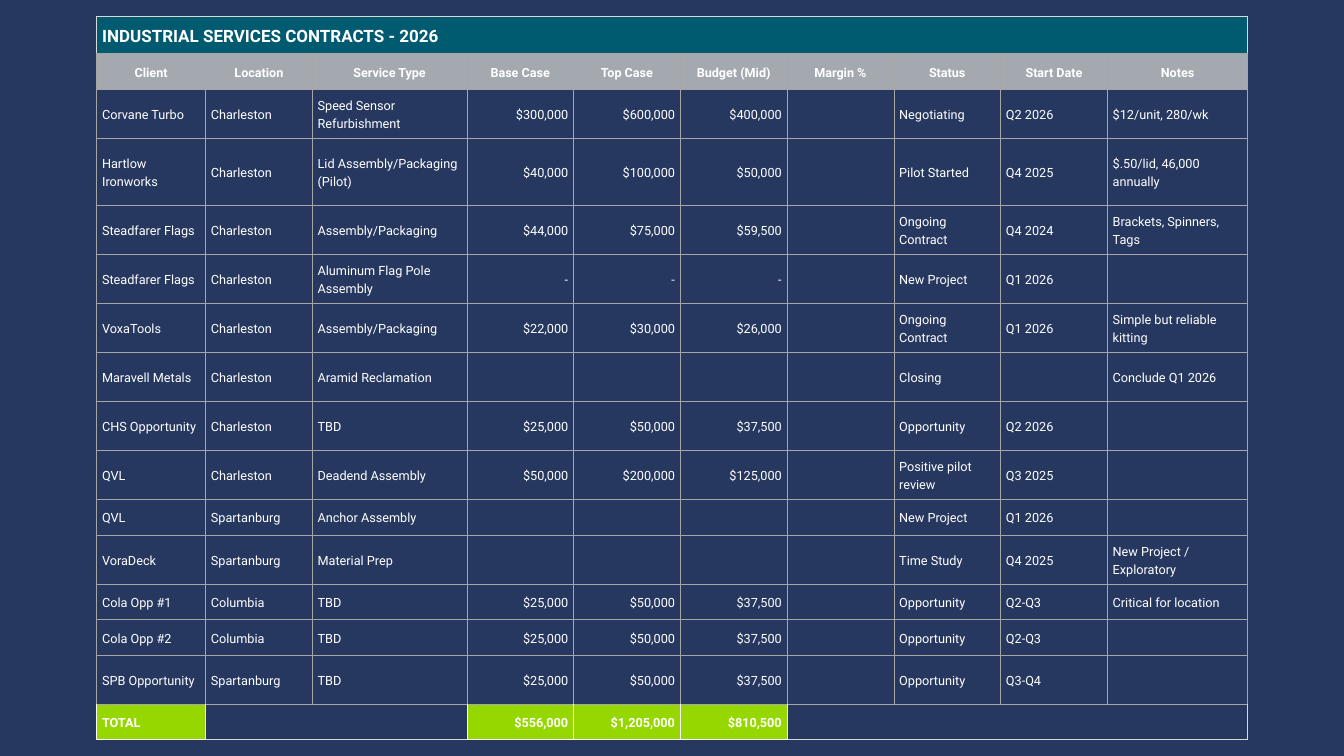
from lxml import etree
from pptx import Presentation
from pptx.dml.color import RGBColor
from pptx.enum.text import MSO_ANCHOR, PP_ALIGN
from pptx.oxml.ns import qn
from pptx.util import Pt

NAVY, TEAL, SLATE, LIME, WHITE = "26385F", "005A70", "A3A9AF", "97D700", "FFFFFF"
GRID, EDGE = "A6A6A6", "D9D9D9"

ROWS = [
    ["INDUSTRIAL SERVICES CONTRACTS - 2026"] + [""] * 9,
    ["Client", "Location", "Service Type", "Base Case", "Top Case", "Budget (Mid)",
     "Margin %", "Status", "Start Date", "Notes"],
    ["Corvane Turbo", "Charleston", "Speed Sensor Refurbishment", "$300,000", "$600,000",
     "$400,000", "", "Negotiating", "Q2 2026", "$12/unit, 280/wk"],
    ["Hartlow Ironworks", "Charleston", "Lid Assembly/Packaging (Pilot)", "$40,000", "$100,000",
     "$50,000", "", "Pilot Started", "Q4 2025", "$.50/lid, 46,000 annually"],
    ["Steadfarer Flags", "Charleston", "Assembly/Packaging", "$44,000", "$75,000",
     "$59,500", "", "Ongoing Contract", "Q4 2024", "Brackets, Spinners, Tags"],
    ["Steadfarer Flags", "Charleston", "Aluminum Flag Pole Assembly", "-", "-",
     "-", "", "New Project", "Q1 2026", ""],
    ["VoxaTools", "Charleston", "Assembly/Packaging", "$22,000", "$30,000",
     "$26,000", "", "Ongoing Contract", "Q1 2026", "Simple but reliable kitting"],
    ["Maravell Metals", "Charleston", "Aramid Reclamation", "", "",
     "", "", "Closing", "", "Conclude Q1 2026"],
    ["CHS Opportunity", "Charleston", "TBD", "$25,000", "$50,000",
     "$37,500", "", "Opportunity", "Q2 2026", ""],
    ["QVL", "Charleston", "Deadend Assembly", "$50,000", "$200,000",
     "$125,000", "", "Positive pilot review", "Q3 2025", ""],
    ["QVL", "Spartanburg", "Anchor Assembly", "", "",
     "", "", "New Project", "Q1 2026", ""],
    ["VoraDeck", "Spartanburg", "Material Prep", "", "",
     "", "", "Time Study", "Q4 2025", "New Project / Exploratory"],
    ["Cola Opp #1", "Columbia", "TBD", "$25,000", "$50,000",
     "$37,500", "", "Opportunity", "Q2-Q3", "Critical for location"],
    ["Cola Opp #2", "Columbia", "TBD", "$25,000", "$50,000",
     "$37,500", "", "Opportunity", "Q2-Q3", ""],
    ["SPB Opportunity", "Spartanburg", "TBD", "$25,000", "$50,000",
     "$37,500", "", "Opportunity", "Q3-Q4", ""],
    ["TOTAL", "", "", "$556,000", "$1,205,000", "$810,500", "", "", "", ""],
]
MONEY_COLUMNS = (3, 4, 5)
TITLE, HEADER, TOTAL = 0, 1, len(ROWS) - 1

SHORT, TALL = 38.1, 52.6
COLUMN_WIDTHS = [116.6, 114.4, 165.6] + [114.4] * 6 + [150.5]
ROW_HEIGHTS = [40.3, SHORT, TALL, 71.4] + [TALL] * 6 + [SHORT, TALL, SHORT, SHORT, TALL, SHORT]


def rgb(value):
    return RGBColor.from_string(value)


def set_borders(cell, left, right, top, bottom):
    props = cell._tc.get_or_add_tcPr()
    for side, color in zip("LRTB", (left, right, top, bottom)):
        line = etree.SubElement(props, qn(f"a:ln{side}"), w=str(Pt(0.75)))
        fill = etree.SubElement(line, qn("a:solidFill"))
        etree.SubElement(fill, qn("a:srgbClr"), val=color)


deck = Presentation()
deck.slide_width, deck.slide_height = Pt(1440), Pt(810)
page = deck.slides.add_slide(deck.slide_layouts[6])
page.background.fill.solid()
page.background.fill.fore_color.rgb = rgb(NAVY)

frame = page.shapes.add_table(len(ROWS), len(COLUMN_WIDTHS), Pt(103.6), Pt(17.2),
                              Pt(sum(COLUMN_WIDTHS)), Pt(sum(ROW_HEIGHTS)))
table = frame.table
table.horz_banding = False
for column, width in zip(table.columns, COLUMN_WIDTHS):
    column.width = Pt(width)
for row, height in zip(table.rows, ROW_HEIGHTS):
    row.height = Pt(height)

for r, texts in enumerate(ROWS):
    for c, text in enumerate(texts):
        cell = table.cell(r, c)
        is_sum = r == TOTAL and text != ""

        if r == TITLE:
            set_borders(cell, EDGE, EDGE, EDGE, GRID)
        elif is_sum:
            set_borders(cell, WHITE, WHITE, GRID, WHITE)
        elif r == TOTAL:
            set_borders(cell, WHITE, EDGE, GRID, EDGE)
        else:
            set_borders(cell, GRID, GRID, GRID, GRID)

        color = {TITLE: TEAL, HEADER: SLATE}.get(r, LIME if is_sum else None)
        if color:
            cell.fill.solid()
            cell.fill.fore_color.rgb = rgb(color)
        else:
            cell.fill.background()

        cell.vertical_anchor = MSO_ANCHOR.MIDDLE
        for side in ("left", "right", "top", "bottom"):
            setattr(cell, f"margin_{side}", Pt(5.76))

        para = cell.text_frame.paragraphs[0]
        para.line_spacing = Pt(25.4 if r == TITLE else 19)
        if r == HEADER:
            para.alignment = PP_ALIGN.CENTER
        elif c in MONEY_COLUMNS:
            para.alignment = PP_ALIGN.RIGHT
        if text:
            span = para.add_run()
            span.text = text
            span.font.color.rgb = rgb(WHITE)
            size = {TITLE: 18.2, HEADER: 13.5}.get(r, 13.6)
            look = {"name": "Roboto", "size": Pt(size), "bold": r in (TITLE, HEADER, TOTAL)}
            for name, value in look.items():
                setattr(span.font, name, value)

for r, first, last in ((TITLE, 0, 9), (TOTAL, 1, 2), (TOTAL, 6, 9)):
    table.cell(r, first).merge(table.cell(r, last))

deck.save("out.pptx")
